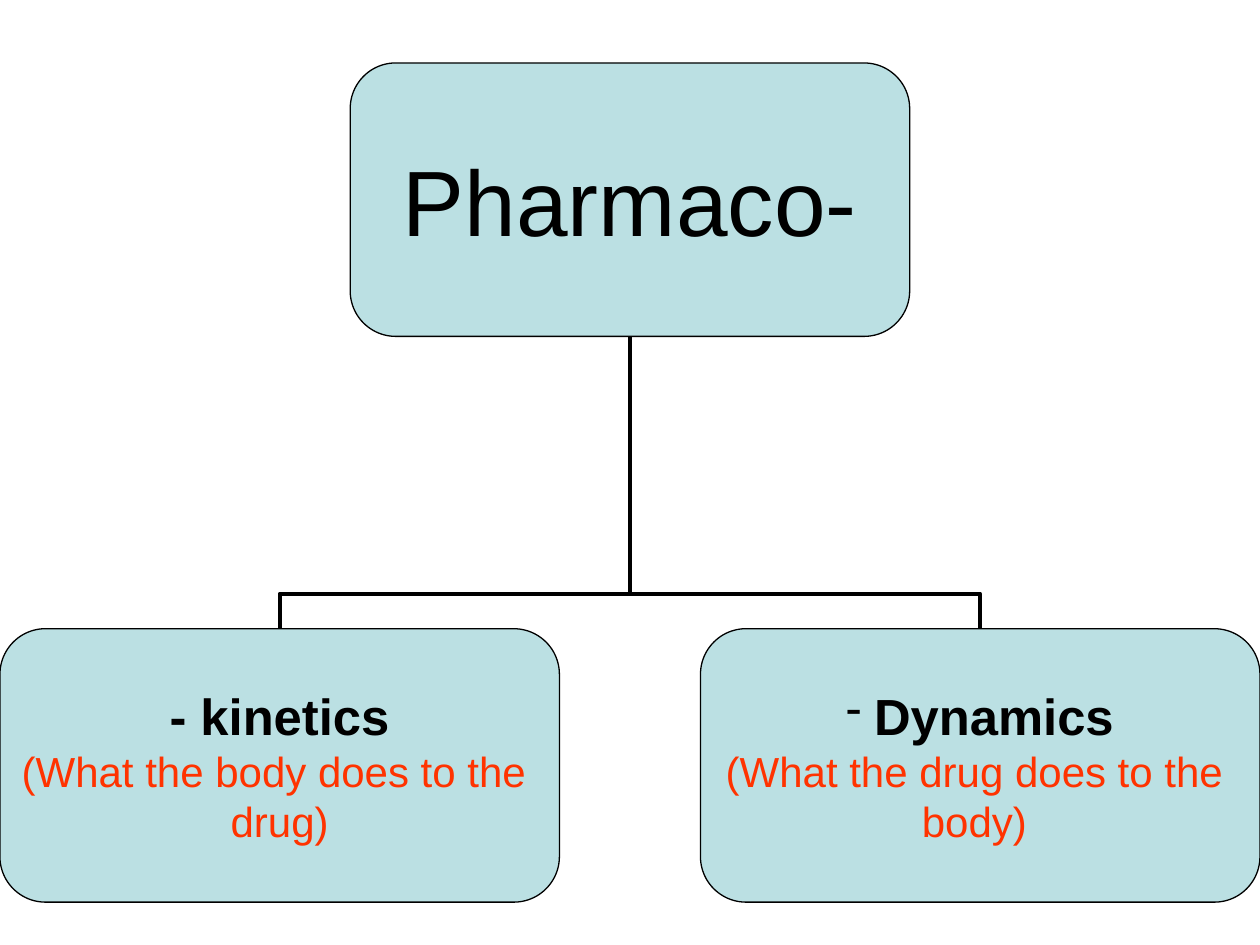
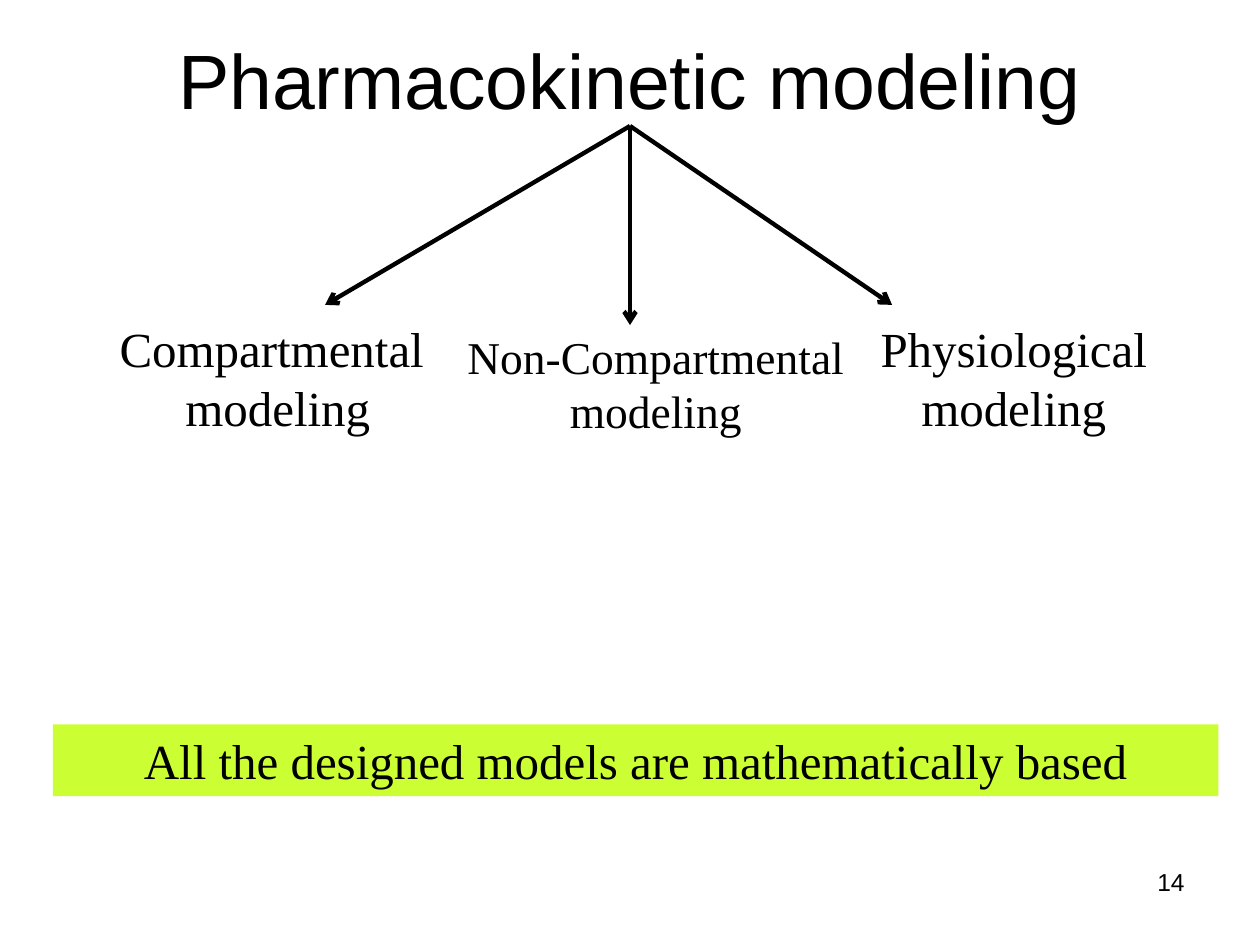
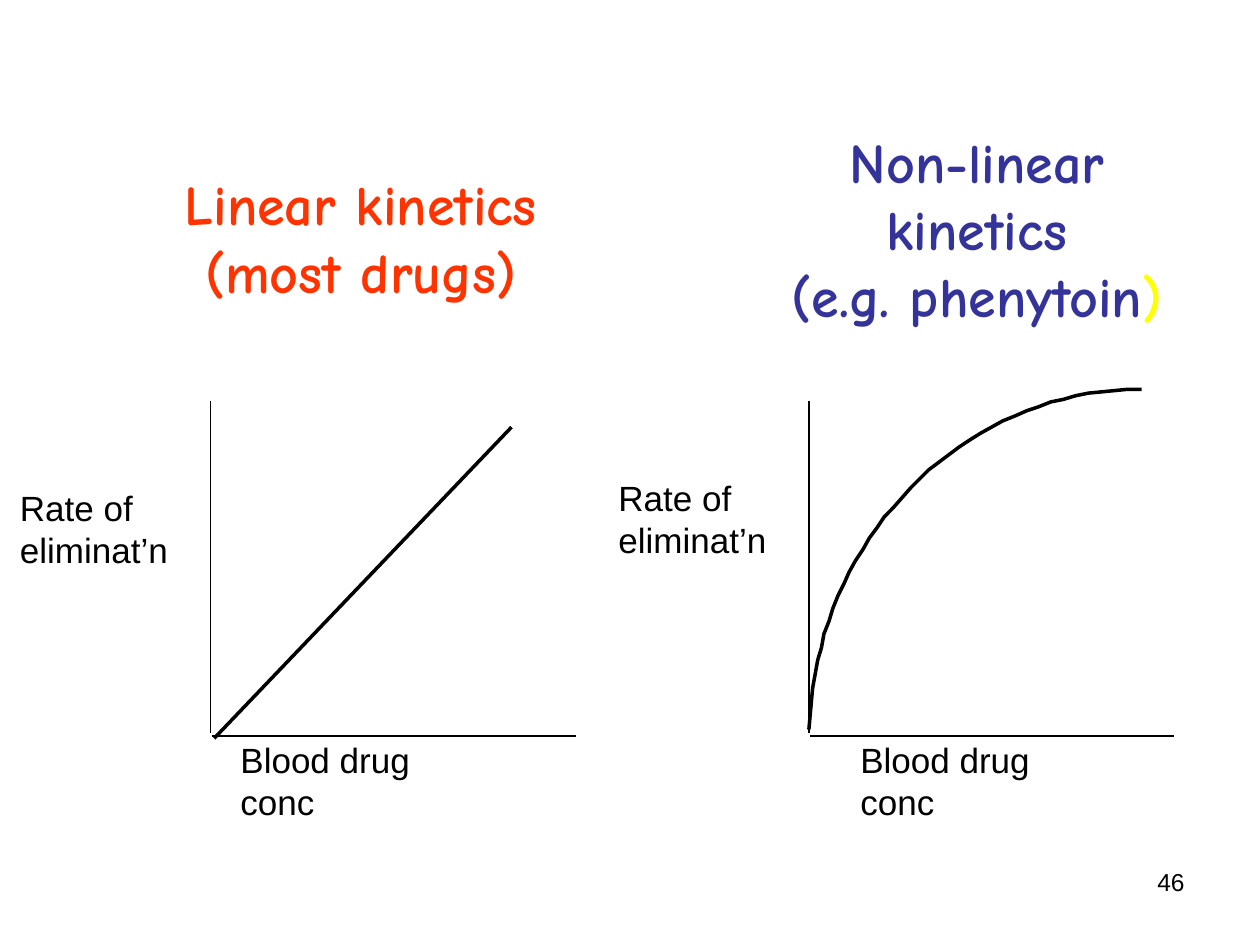
from dataclasses import dataclass, replace
from typing import NamedTuple

from lxml.etree import SubElement
from pptx import Presentation
from pptx.dml.color import RGBColor
from pptx.enum.shapes import MSO_CONNECTOR as Link, MSO_SHAPE as Preset
from pptx.enum.text import MSO_ANCHOR as Anchor, PP_ALIGN as Align
from pptx.oxml.ns import qn
from pptx.util import Pt

# Scale: 100 px to the inch
PX = 9144
SLIDE_W, SLIDE_H = 1000, 750

# Colours
BLACK = RGBColor(0x00, 0x00, 0x00)
PALE_TEAL = RGBColor(0xBB, 0xE0, 0xE3)
ORANGE_RED = RGBColor(0xFF, 0x33, 0x00)
INDIGO = RGBColor(0x33, 0x33, 0x99)
YELLOW = RGBColor(0xFF, 0xFF, 0x00)
LIME = RGBColor(0xCC, 0xFF, 0x33)


class Box(NamedTuple):
    left: int
    top: int
    width: int
    height: int

    def emu(self) -> list[int]:
        return [length * PX for length in self]


class Point(NamedTuple):
    x: int
    y: int


@dataclass(frozen=True)
class Style:
    size: int
    color: RGBColor = BLACK
    face: str = "Arial"
    bold: bool = False


class Span(NamedTuple):
    text: str
    style: Style


@dataclass(frozen=True)
class Line:
    spans: tuple[Span, ...]
    bullet: str = ""


@dataclass(frozen=True)
class Node:
    box: Box
    lines: list[Line]


@dataclass(frozen=True)
class Model:
    box: Box
    lines: list[Line]
    arrow_tip: Point


@dataclass(frozen=True)
class Plot:
    origin_x: int
    heading_box: Box
    heading: list[Line]
    rate_box: Box
    conc_left: int


# Text styles
TITLE = Style(44)
PAGE_NUMBER = Style(14)
ROOT = Style(53)
BRANCH = Style(29, bold=True)
MEANING = Style(24, ORANGE_RED)
SERIF = Style(28, face="Times New Roman")
SMALL_SERIF = replace(SERIF, size=26)
AXIS_LABEL = Style(20)
LINEAR = Style(32, ORANGE_RED, "Comic Neue", True)
NON_LINEAR = replace(LINEAR, color=INDIGO)


def lines_of(style: Style, *texts: str) -> list[Line]:
    return [Line((Span(text, style),)) for text in texts]


# Drawing helpers
def set_font(font, style: Style) -> None:
    font.name, font.size, font.bold = style.face, Pt(style.size), style.bold
    font.color.rgb = style.color


def write(shape, lines: list[Line], align: Align, wrap: bool = True) -> None:
    frame = shape.text_frame
    frame.word_wrap = wrap
    for index, line in enumerate(lines):
        paragraph = frame.add_paragraph() if index else frame.paragraphs[0]
        paragraph.alignment = align
        if line.bullet:
            props = paragraph._p.get_or_add_pPr()
            props.set("marL", "0")
            props.set("indent", "0")
            SubElement(props, qn("a:buChar")).set("char", line.bullet)
        base = line.spans[0].style
        set_font(paragraph.font, base)
        for span in line.spans:
            run = paragraph.add_run()
            run.text = span.text
            if span.style != base:
                set_font(run.font, span.style)


def add_text(slide, box: Box, lines: list[Line], align: Align = Align.CENTER,
             anchor: Anchor = Anchor.TOP) -> None:
    text_box = slide.shapes.add_textbox(*box.emu())
    text_box.text_frame.vertical_anchor = anchor
    write(text_box, lines, align)


def add_page_number(slide, number: str) -> None:
    add_text(slide, Box(717, 683, 233, 52), lines_of(PAGE_NUMBER, number), Align.RIGHT)


def add_filled(slide, preset: Preset, box: Box, color: RGBColor):
    shape = slide.shapes.add_shape(preset, *box.emu())
    shape.shadow.inherit = False
    shape.fill.solid()
    shape.fill.fore_color.rgb = color
    return shape


def add_line(slide, start: Point, end: Point, width: float,
             kind: Link = Link.STRAIGHT, arrow: bool = False):
    connector = slide.shapes.add_connector(
        kind, *(length * PX for length in (*start, *end)))
    connector.line.color.rgb = BLACK
    connector.line.width = Pt(width)
    if arrow:
        SubElement(connector.line._get_or_add_ln(), qn("a:tailEnd")).set("type", "arrow")
    SubElement(connector._element.spPr, qn("a:effectLst"))
    return connector


# Slide 1: tree of the two branches
NODE_W, NODE_H = 444, 217
BRANCH_TOP = 499
ROOT_NODE = Node(Box((SLIDE_W - NODE_W) // 2, 50, NODE_W, NODE_H),
                 lines_of(ROOT, "Pharmaco-"))
BRANCHES = [
    Node(Box(0, BRANCH_TOP, NODE_W, NODE_H),
         lines_of(BRANCH, "- kinetics")
         + lines_of(MEANING, "(What the body does to the ", "drug)")),
    Node(Box(SLIDE_W - NODE_W, BRANCH_TOP, NODE_W, NODE_H),
         [Line((Span(" ", replace(BRANCH, size=26)), Span("Dynamics", BRANCH)), "-")]
         + lines_of(MEANING, "(What the drug does to the ", "body) ")),
]


def add_node(slide, node: Node):
    shape = add_filled(slide, Preset.ROUNDED_RECTANGLE, node.box, PALE_TEAL)
    shape.line.color.rgb = BLACK
    shape.line.width = Pt(0.75)
    frame = shape.text_frame
    frame.margin_left = frame.margin_right = frame.margin_top = frame.margin_bottom = 0
    frame.vertical_anchor = Anchor.MIDDLE
    write(shape, node.lines, Align.CENTER, wrap=False)
    return shape


def join_upright(slide, child, parent) -> None:
    """Elbow from the child's top to the parent's bottom, leaving both vertically."""
    elbow = add_line(slide, Point(0, 0), Point(1, 1), 2.25, Link.ELBOW)
    elbow.begin_connect(child, 0)
    elbow.end_connect(parent, 2)
    run, rise = elbow.width, elbow.height
    center_x, center_y = elbow.left + run // 2, elbow.top + rise // 2
    from_right = elbow.begin_x > elbow.end_x
    # The elbow is drawn lying down, then turned by a quarter
    elbow.left, elbow.top = center_x - rise // 2, center_y - run // 2
    elbow.width, elbow.height = rise, run
    xfrm = elbow._element.spPr.find(qn("a:xfrm"))
    for flip in ("flipH", "flipV"):
        xfrm.attrib.pop(flip, None)
    xfrm.set("rot", str((90 if from_right else 270) * 60000))
    if from_right:
        xfrm.set("flipH", "1")
    geometry = elbow._element.spPr.find(qn("a:prstGeom"))
    guides = geometry.find(qn("a:avLst"))
    if guides is None:
        guides = SubElement(geometry, qn("a:avLst"))
    bend = SubElement(guides, qn("a:gd"))
    bend.set("name", "adj1")
    bend.set("fmla", "val 12000")


def build_branches(slide) -> None:
    root = add_node(slide, ROOT_NODE)
    for branch in BRANCHES:
        join_upright(slide, add_node(slide, branch), root)


# Slide 2: kinds of modeling
ARROW_START = Point(500, 100)
MODELS = [
    Model(Box(58, 248, 325, 103), lines_of(SERIF, "Compartmental ", "modeling"),
          Point(258, 242)),
    Model(Box(358, 256, 325, 97), lines_of(SMALL_SERIF, "Non-Compartmental ", "modeling"),
          Point(500, 258)),
    Model(Box(642, 248, 325, 103), lines_of(SERIF, "Physiological", "modeling"),
          Point(708, 242)),
]


def build_models(slide) -> None:
    add_page_number(slide, "14")
    add_text(slide, Box(50, 0, 900, 125), lines_of(TITLE, "Pharmacokinetic modeling"),
             anchor=Anchor.MIDDLE)
    for model in MODELS:
        add_line(slide, ARROW_START, model.arrow_tip, 2.5, arrow=True)
        add_text(slide, model.box, model.lines)
    band = add_filled(slide, Preset.RECTANGLE, Box(42, 575, 925, 57), LIME)
    band.line.fill.background()
    write(band, lines_of(SERIF, "All the designed models are mathematically based"),
          Align.CENTER)


# Slide 3: linear and non-linear kinetics
AXIS_TOP, AXIS_BOTTOM, AXIS_LENGTH = 318, 582, 289
PLOTS = [
    Plot(167, Box(120, 130, 333, 116),
         lines_of(LINEAR, "Linear kinetics", "(most drugs)"),
         Box(6, 381, 178, 76), 181),
    Plot(642, Box(595, 96, 361, 170),
         lines_of(NON_LINEAR, "Non-linear", "kinetics")
         + [Line((Span("(e.g. phenytoin", NON_LINEAR),
                  Span(")", replace(NON_LINEAR, color=YELLOW))))],
         Box(481, 373, 161, 76), 673),
]
SATURATION = [Point(642, 579), Point(647, 428), Point(764, 309), Point(906, 309)]
CURVE_STEPS = 40


def bezier(controls: list[Point], t: float) -> tuple[float, float]:
    weights = ((1 - t) ** 3, 3 * t * (1 - t) ** 2, 3 * t ** 2 * (1 - t), t ** 3)
    return (sum(w * p.x for w, p in zip(weights, controls)),
            sum(w * p.y for w, p in zip(weights, controls)))


def add_curve(slide, controls: list[Point]) -> None:
    points = [bezier(controls, step / CURVE_STEPS) for step in range(CURVE_STEPS + 1)]
    builder = slide.shapes.build_freeform(*points[0], scale=PX)
    builder.add_line_segments(points[1:], close=False)
    curve = builder.convert_to_shape()
    curve.shadow.inherit = False
    curve.fill.background()
    curve.line.color.rgb = BLACK
    curve.line.width = Pt(2)


def add_plot(slide, plot: Plot) -> None:
    x = plot.origin_x
    add_text(slide, plot.heading_box, plot.heading)
    add_line(slide, Point(x, AXIS_TOP), Point(x, AXIS_BOTTOM), 1)
    add_line(slide, Point(x + 1, AXIS_BOTTOM + 2),
             Point(x + 1 + AXIS_LENGTH, AXIS_BOTTOM + 2), 1)
    add_text(slide, plot.rate_box, lines_of(AXIS_LABEL, "Rate of eliminat’n"), Align.LEFT)
    add_text(slide, Box(plot.conc_left, 581, 210, 43),
             lines_of(AXIS_LABEL, "Blood drug conc"), Align.LEFT)


def build_kinetics(slide) -> None:
    add_page_number(slide, "46")
    for plot in PLOTS:
        add_plot(slide, plot)
    add_line(slide, Point(170, 586), Point(406, 339), 2)
    add_curve(slide, SATURATION)


def main() -> None:
    deck = Presentation()
    deck.slide_width, deck.slide_height = SLIDE_W * PX, SLIDE_H * PX
    blank = deck.slide_layouts[6]
    for build in (build_branches, build_models, build_kinetics):
        build(deck.slides.add_slide(blank))
    deck.save("out.pptx")


if __name__ == "__main__":
    main()
